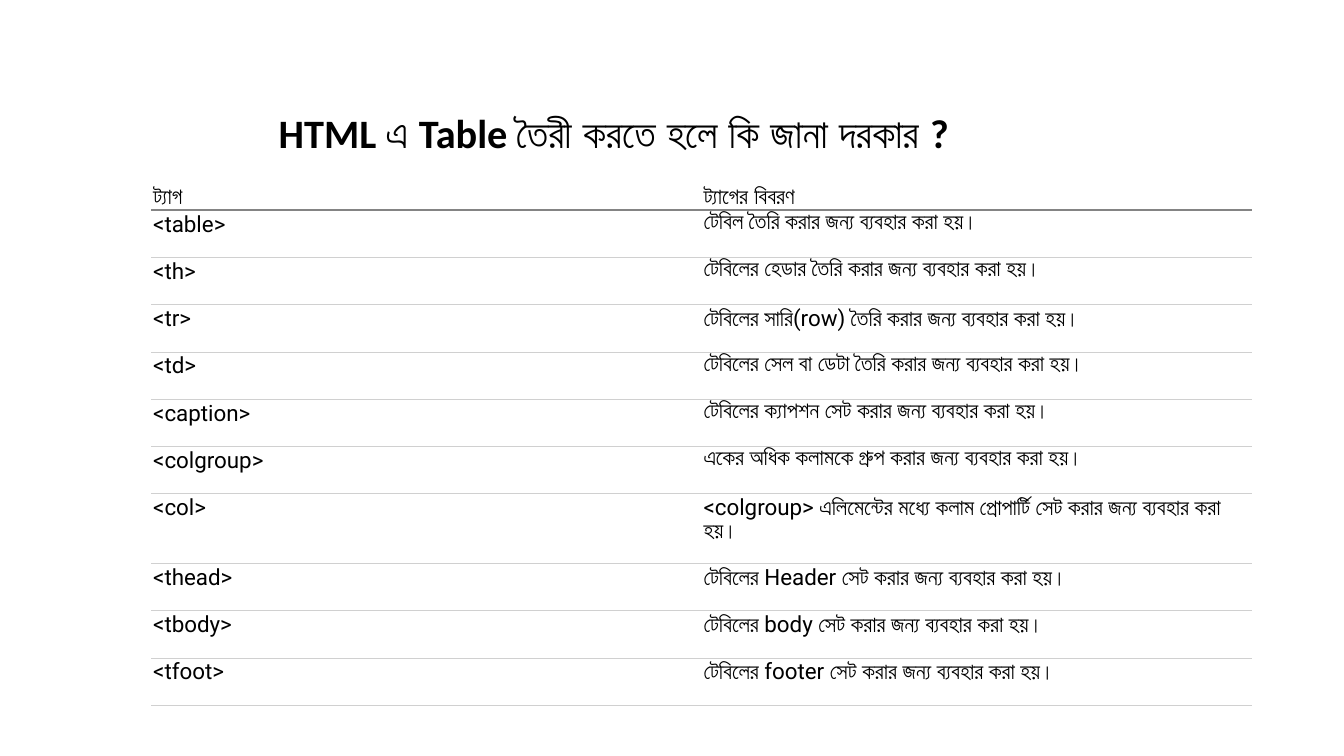
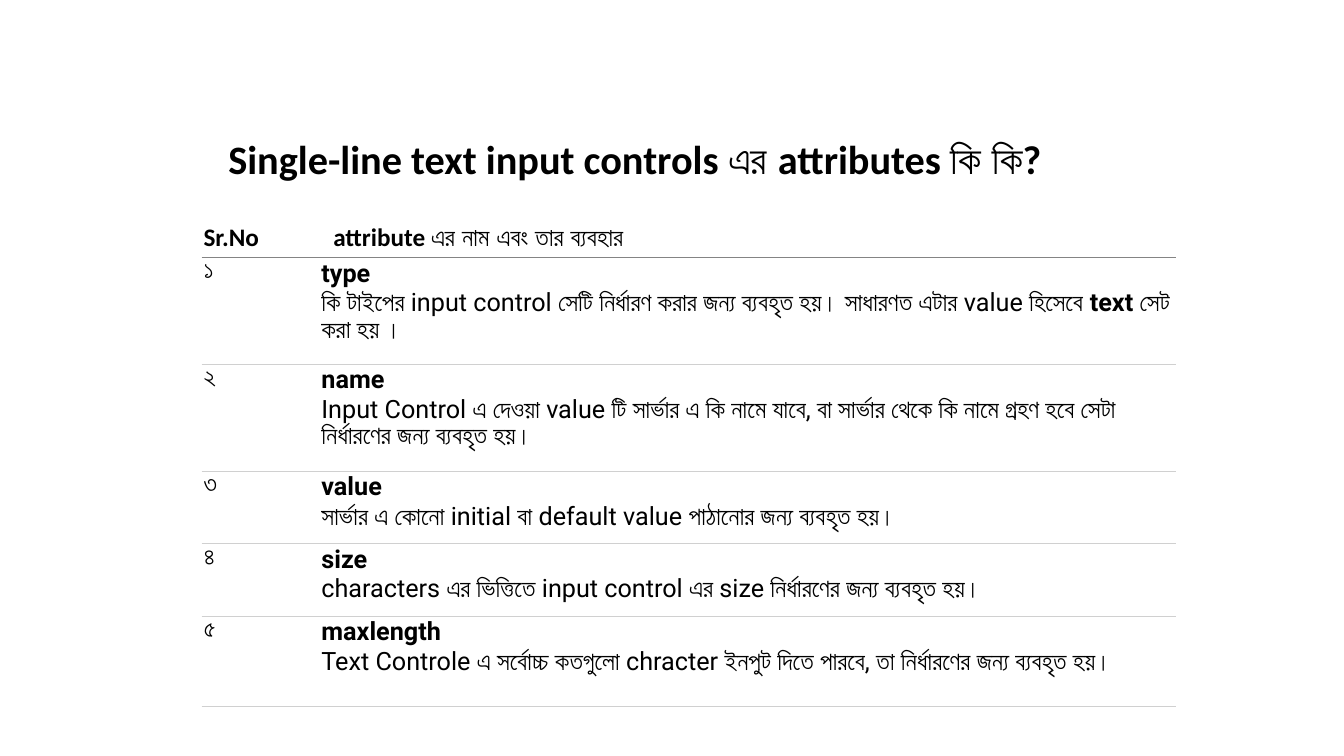
"""Two slides, each with a title and a ruled table."""
from lxml import etree
from pptx import Presentation
from pptx.dml.color import RGBColor
from pptx.enum.text import MSO_ANCHOR as ANCHOR, MSO_AUTO_SIZE as FIT, PP_ALIGN as ALIGN
from pptx.oxml import parse_xml
from pptx.oxml.ns import nsdecls
from pptx.util import Cm, Pt

HEAD_RULE, ROW_RULE = ("848484", 1.5), ("D0D0D0", 0.75)
TITLE = {"name": "Calibri", "size": Pt(28.8), "bold": True}


def rgb(code):
    return RGBColor.from_string(code)


class Deck:
    def __init__(self):
        self.prs = Presentation()
        self.prs.slide_width, self.prs.slide_height = Cm(33.87), Cm(19.05)
        self.s = None

    def slide(self):
        self.s = self.prs.slides.add_slide(self.prs.slide_layouts[5])

    def run(self, p, text, fmt):
        r = p.add_run()
        r.text = text
        for key, value in fmt.items():
            setattr(r.font, key, value)
        r.font.color.rgb = rgb("000000")

    def title(self, text, x, y, w, h):
        sp = self.s.shapes.title
        box = {"left": x, "top": y, "width": w, "height": h}
        for key, value in box.items():
            setattr(sp, key, Cm(value))
        tf = sp.text_frame
        tf.word_wrap, tf.auto_size = True, FIT.NONE
        tf.vertical_anchor = ANCHOR.MIDDLE
        p = tf.paragraphs[0]
        p.alignment, p.line_spacing = ALIGN.LEFT, 0.9
        self.run(p, text, TITLE)

    def borders(self, cell, top, bottom):
        tc_pr = cell._tc.get_or_add_tcPr()
        rules = {"lnL": None, "lnR": None, "lnT": top, "lnB": bottom}
        for i, (tag, rule) in enumerate(rules.items()):
            ln = parse_xml(f"<a:{tag} {nsdecls('a')}><a:noFill/></a:{tag}>")
            if rule:
                color, width = rule
                ln.set("w", str(Pt(width)))
                ln.remove(ln[0])
                fill = etree.SubElement(ln, ln.tag.replace(tag, "solidFill"))
                etree.SubElement(fill, ln.tag.replace(tag, "srgbClr"), val=color)
            tc_pr.insert(i, ln)

    def cell(self, cell, text, fmt, top, bottom):
        """Fill one cell; asterisks switch bold on and off, newlines break lines."""
        margins = {"margin_left": 0.05, "margin_right": 0.05,
                   "margin_top": 0.03, "margin_bottom": 0.03}
        for key, value in margins.items():
            setattr(cell, key, Cm(value))
        cell.fill.background()
        self.borders(cell, top, bottom)
        p = cell.text_frame.paragraphs[0]
        for i, part in enumerate(text.split("*")):
            for j, line in enumerate(part.split("\n")):
                if j:
                    p.add_line_break()
                if line:
                    self.run(p, line, {**fmt, "bold": i % 2 == 1})

    def table(self, x, y, widths, heights, rows, size, head_font):
        frame = self.s.shapes.add_table(len(rows), len(widths), Cm(x), Cm(y),
                                        Cm(sum(widths)), Cm(sum(heights)))
        tbl = frame.table
        tbl.first_row = tbl.horz_banding = False
        for col, width in zip(tbl.columns, widths):
            col.width = Cm(width)
        for i, (row, height, texts) in enumerate(zip(tbl.rows, heights, rows)):
            row.height = Cm(height)
            fmt = {"name": "Roboto" if i else head_font, "size": Pt(size)}
            top = (None, HEAD_RULE)[i] if i < 2 else ROW_RULE
            for cell, text in zip(row.cells, texts):
                self.cell(cell, text, fmt, top, ROW_RULE if i else HEAD_RULE)
                cell.vertical_anchor = ANCHOR.TOP if i else ANCHOR.MIDDLE
        return tbl


USE = "করার জন্য ব্যবহার করা হয়।"
TAGS = [
    ("*ট্যাগ*", "*ট্যাগের বিবরণ*"),
    ("<table>", f"টেবিল তৈরি {USE}"),
    ("<th>", f"টেবিলের হেডার তৈরি {USE}"),
    ("<tr>", f"টেবিলের সারি(row) তৈরি {USE}"),
    ("<td>", f"টেবিলের সেল বা ডেটা তৈরি {USE}"),
    ("<caption>", f"টেবিলের ক্যাপশন সেট {USE}"),
    ("<colgroup>", f"একের অধিক কলামকে গ্রুপ {USE}"),
    ("<col>", f"<colgroup>\u00a0এলিমেন্টের মধ্যে কলাম প্রোপার্টি সেট {USE}"),
    ("<thead>", f"টেবিলের Header সেট {USE}"),
    ("<tbody>", f"টেবিলের body সেট {USE}"),
    ("<tfoot>", f"টেবিলের footer সেট {USE}"),
]
USED = "জন্য ব্যবহৃত হয়।"
ATTRIBUTES = [
    ("*Sr.No*", "*attribute এর নাম এবং তার ব্যবহার*"),
    ("১", f"*type\n*কি টাইপের input control সেটি নির্ধারণ করার {USED} "
          "সাধারণত এটার value হিসেবে\u00a0*text *সেট করা হয় ।"),
    ("২", "*name\n*Input Control এ দেওয়া value টি সার্ভার এ কি নামে যাবে, "
          f"বা সার্ভার থেকে কি নামে গ্রহণ হবে সেটা নির্ধারণের {USED}"),
    ("৩", f"*value\n*সার্ভার এ কোনো initial বা default value পাঠানোর {USED}"),
    ("৪", f"*size\n*characters এর ভিত্তিতে input control এর size নির্ধারণের {USED}"),
    ("৫", "*maxlength\n*Text Controle এ সর্বোচ্চ কতগুলো chracter ইনপুট দিতে পারবে, "
          f"তা নির্ধারণের {USED}"),
]

deck = Deck()
deck.slide()
deck.title("HTML এ Table তৈরী করতে হলে কি জানা দরকার ?", 6.77, 2.74, 29.62, 1.37)
deck.table(3.81, 4.66, [13.87] * 2, [0.64] + [1.19] * 6 + [1.76] + [1.19] * 3,
           TAGS, 16, "Roboto")

deck.slide()
deck.title("Single-line text input controls এর attributes কি কি?", 5.5, 3.39, 27.71, 1.37)
attributes = deck.table(5.08, 5.5, [2.97, 21.59], [0.99, 2.69, 2.69, 1.83, 1.83, 2.26],
                        ATTRIBUTES, 18, "Calibri")
attributes.cell(0, 1).margin_left = Cm(0.35)
deck.prs.save("out.pptx")
